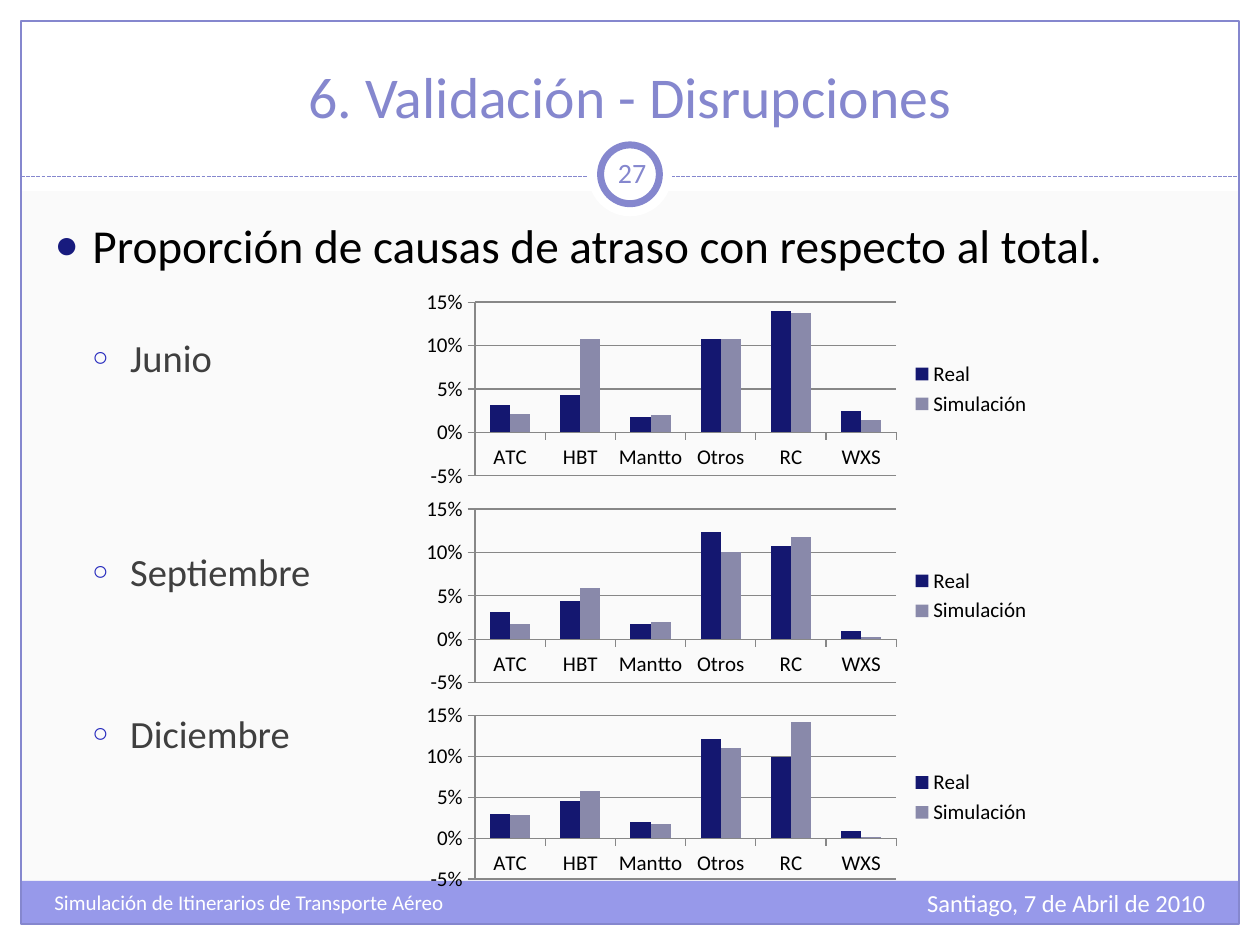
from dataclasses import dataclass

from lxml.etree import SubElement
from pptx import Presentation
from pptx.chart.data import CategoryChartData
from pptx.dml.color import RGBColor
from pptx.enum.chart import XL_CHART_TYPE as ChartType, XL_LEGEND_POSITION as LegendPosition
from pptx.enum.chart import XL_TICK_MARK as TickMark
from pptx.enum.dml import MSO_LINE_DASH_STYLE as Dash
from pptx.enum.shapes import MSO_CONNECTOR as Connector, MSO_SHAPE as Shape
from pptx.enum.text import MSO_ANCHOR as Anchor, MSO_AUTO_SIZE as AutoSize, PP_ALIGN as Align
from pptx.oxml.ns import qn
from pptx.util import Inches, Pt


@dataclass(frozen=True)
class Theme:
    font: str = "Calibri"
    background: str = "FAFAFA"
    white: str = "FFFFFF"
    black: str = "000000"
    accent: str = "8587CE"
    band: str = "9799EA"
    month: str = "3F3F3F"
    dot: str = "181B7E"
    ring: str = "2529BD"
    axis: str = "878787"
    series: tuple = ("141770", "8989AA")
    title_size: float = 33
    body_size: float = 27
    month_size: float = 22
    number_size: float = 16
    date_size: float = 14
    small_size: float = 12


def color(value):
    return RGBColor.from_string(value)


class SlideBuilder:
    """Places elements on a grid of 60 columns and 45 rows."""
    UNIT = Inches(10) / 60

    def __init__(self, presentation, theme):
        self.theme = theme
        self.slide = presentation.slides.add_slide(presentation.slide_layouts[1])
        self.shapes = self.slide.shapes
        fill = self.slide.background.fill
        fill.solid()
        fill.fore_color.rgb = color(theme.background)

    def grid(self, *lengths):
        return [round(length * self.UNIT) for length in lengths]

    def style(self, font, size, text_color):
        font.name, font.size = self.theme.font, Pt(size)
        font.color.rgb = color(text_color)

    def shape(self, kind, box, fill=None, line=None, width=0.75):
        shape = self.shapes.add_shape(kind, *self.grid(*box))
        shape.shadow.inherit = False
        if fill:
            shape.fill.solid()
            shape.fill.fore_color.rgb = color(fill)
        else:
            shape.fill.background()
        if line:
            shape.line.color.rgb = color(line)
            shape.line.width = Pt(width)
        else:
            shape.line.fill.background()

    def dashed_line(self, start, end):
        line = self.shapes.add_connector(Connector.STRAIGHT, *self.grid(*start, *end))
        line.line.color.rgb = color(self.theme.accent)
        line.line.width = Pt(0.75)
        line.line.dash_style = Dash.SQUARE_DOT
        SubElement(line.element.spPr, qn("a:effectLst"))

    def text(self, box, words, size, text_color, align=Align.LEFT, anchor=Anchor.TOP, inset=0.1):
        frame = self.shapes.add_textbox(*self.grid(*box)).text_frame
        frame.word_wrap = True
        frame.vertical_anchor = anchor
        frame.margin_left = frame.margin_right = Inches(inset)
        paragraph = frame.paragraphs[0]
        paragraph.text, paragraph.alignment = words, align
        self.style(paragraph.font, size, text_color)

    def placeholder(self, index, box):
        """Move a template placeholder into its box and to the front."""
        shape = self.slide.placeholders[index]
        shape.left, shape.top, shape.width, shape.height = self.grid(*box)
        shape.element.getparent().append(shape.element)
        shape.text_frame.auto_size = AutoSize.NONE
        return shape.text_frame

    def title(self, box, words):
        frame = self.placeholder(0, box)
        frame.vertical_anchor = Anchor.BOTTOM
        paragraph = frame.paragraphs[0]
        paragraph.text, paragraph.alignment = words, Align.CENTER
        self.style(paragraph.font, self.theme.title_size, self.theme.accent)

    def bullets(self, box, items):
        """Each item holds its level, words and the space before it in points."""
        theme = self.theme
        levels = (("●", theme.dot, 85, theme.body_size, theme.black),
                  ("○", theme.ring, 70, theme.month_size, theme.month))
        frame = self.placeholder(1, box)
        frame.vertical_anchor = Anchor.TOP
        for number, (level, words, space) in enumerate(items):
            paragraph = frame.add_paragraph() if number else frame.paragraphs[0]
            paragraph.text, paragraph.level = words, level
            mark, mark_color, share, size, text_color = levels[level]
            properties = paragraph._p.get_or_add_pPr()
            properties.set("marL", str(Inches(0.3 * (level + 1))))
            properties.set("indent", str(Inches(-0.3)))
            bullet_color = SubElement(properties, qn("a:buClr"))
            SubElement(bullet_color, qn("a:srgbClr"), val=mark_color)
            SubElement(properties, qn("a:buSzPct"), val=str(share * 1000))
            SubElement(properties, qn("a:buChar"), char=mark)
            paragraph.space_before = Pt(space)
            self.style(paragraph.font, size, text_color)

    def column_chart(self, box, categories, series):
        data = CategoryChartData(number_format="0%")
        data.categories = categories
        for name, values in series.items():
            data.add_series(name, values)
        chart = self.shapes.add_chart(ChartType.COLUMN_CLUSTERED, *self.grid(*box), data).chart
        self.style(chart.font, self.theme.small_size, self.theme.black)
        chart.has_title = False
        chart.has_legend = True
        chart.legend.position = LegendPosition.RIGHT
        chart.legend.include_in_layout = False
        plot = chart.plots[0]
        plot.gap_width, plot.overlap, plot.vary_by_categories = 150, 0, False
        for one, fill in zip(plot.series, self.theme.series):
            one.format.fill.solid()
            one.format.fill.fore_color.rgb = color(fill)
            one.invert_if_negative = False
        values = chart.value_axis
        values.minimum_scale, values.maximum_scale, values.major_unit = -0.05, 0.15, 0.05
        values.tick_labels.number_format = "0%"
        values.tick_labels.number_format_is_linked = False
        values.has_major_gridlines = True
        for axis in (chart.category_axis, values):
            axis.major_tick_mark = TickMark.OUTSIDE
        for part in (chart.category_axis, values, values.major_gridlines):
            part.format.line.color.rgb = color(self.theme.axis)
            part.format.line.width = Pt(0.75)


CATEGORIES = ("ATC", "HBT", "Mantto", "Otros", "RC", "WXS")
# Month: space before its bullet, real values, simulated values
MONTHS = {
    "Junio": (35, (0.032, 0.043, 0.018, 0.108, 0.14, 0.024),
              (0.021, 0.107, 0.02, 0.108, 0.138, 0.014)),
    "Septiembre": (96, (0.031, 0.044, 0.018, 0.124, 0.107, 0.009),
                   (0.018, 0.059, 0.02, 0.101, 0.118, 0.002)),
    "Diciembre": (66, (0.03, 0.045, 0.02, 0.121, 0.1, 0.009),
                  (0.028, 0.058, 0.018, 0.11, 0.142, 0.001)),
}


def main():
    presentation = Presentation()
    presentation.slide_width, presentation.slide_height = Inches(10), Inches(7.5)
    theme = Theme()
    page = SlideBuilder(presentation, theme)

    # White margins, footer band and frame
    for box in ((0, 44, 60, 1), (0, 0, 60, 9.1), (0, 0, 1, 45), (59, 0, 1, 45)):
        page.shape(Shape.RECTANGLE, box, theme.white)
    page.shape(Shape.RECTANGLE, (1, 41.95, 58, 2.05), theme.band)
    page.shape(Shape.RECTANGLE, (1, 1, 58, 43), line=theme.accent)

    # Divider with the page number
    page.dashed_line((1, 8.4), (59, 8.4))
    page.shape(Shape.OVAL, (28, 6.3, 4, 4), theme.white)
    page.shape(Shape.OVAL, (28.6, 6.9, 2.8, 2.8), theme.white, theme.accent, 4)
    page.text((28.6, 6.75, 3, 2.9), "27", theme.number_size, theme.accent,
              Align.CENTER, Anchor.MIDDLE, 0.05)

    # Title and footer
    page.title((2, 1.5, 56, 5), "6. Validación - Disrupciones")
    page.text((38, 42, 20, 2.4), "Santiago, 7 de Abril de 2010",
              theme.date_size, theme.white, Align.RIGHT)
    page.text((2, 42.05, 23.5, 2.4), "Simulación de Itinerarios de Transporte Aéreo",
              theme.small_size, theme.white)

    # List of months, with one chart for each
    heading = (0, "Proporción de causas de atraso con respecto al total.", 0)
    page.bullets((2, 10, 55.8, 30),
                 [heading] + [(1, month, space) for month, (space, *_) in MONTHS.items()])
    for row, (_, real, simulated) in enumerate(MONTHS.values()):
        height = 9.35 if row == 2 else 9.85
        page.column_chart((19.7, 13.6 + row * 9.85, 30, height), CATEGORIES,
                          {"Real": real, "Simulación": simulated})

    presentation.save("out.pptx")


if __name__ == "__main__":
    main()
